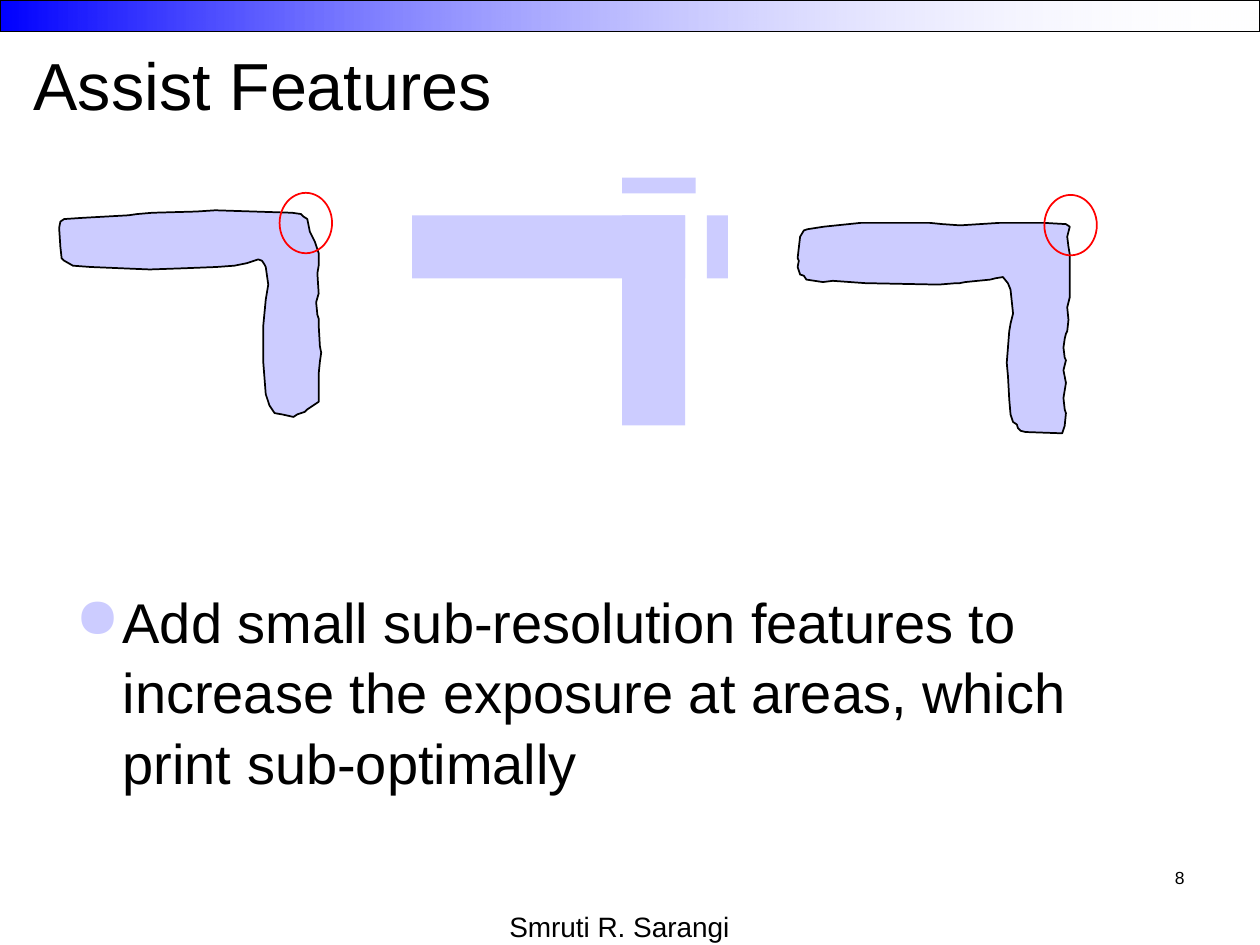
from pptx import Presentation
from pptx.dml.color import RGBColor
from pptx.enum import shapes, text
from pptx.oxml import ns
from pptx.util import Pt
from lxml import etree

BLUE = RGBColor(0x00, 0x00, 0xFF)
WHITE = RGBColor(0xFF, 0xFF, 0xFF)
BLACK = RGBColor(0x00, 0x00, 0x00)
LAVENDER = RGBColor(0xCC, 0xCC, 0xFF)
RED = RGBColor(0xFF, 0x00, 0x00)
FONT = "Arial"
OUTLINE_UNIT = Pt(0.72)

ROUNDED_OUTLINE = [
    (1, 29), (0, 14), (1, 9), (4, 7), (19, 6), (55, 4), (62, 3), (74, 2),
    (109, 1), (124, 0), (185, 2), (192, 3), (194, 5), (197, 7), (199, 17),
    (203, 25), (205, 31), (206, 34), (206, 44), (205, 50), (206, 66),
    (204, 73), (205, 83), (206, 86), (206, 91), (207, 108), (208, 113),
    (207, 120), (206, 130), (206, 152), (197, 158), (195, 160), (189, 162),
    (186, 164), (177, 162), (171, 161), (167, 155), (166, 152), (164, 146),
    (162, 120), (162, 92), (164, 71), (166, 59), (164, 45), (163, 43),
    (161, 40), (158, 39), (149, 42), (144, 43), (139, 44), (125, 45),
    (100, 46), (72, 47), (25, 45), (11, 44), (4, 40), (2, 38),
]
SHARP_OUTLINE = [
    (0, 28), (2, 11), (5, 6), (8, 5), (21, 3), (50, 0), (105, 0), (115, 1),
    (129, 2), (160, 0), (196, 0), (213, 1), (216, 3), (214, 11), (215, 19),
    (216, 25), (216, 59), (214, 67), (215, 77), (214, 86), (213, 88),
    (212, 92), (211, 99), (212, 107), (213, 109), (211, 117), (213, 127),
    (211, 139), (212, 148), (213, 151), (212, 161), (210, 167), (181, 166),
    (177, 165), (175, 163), (174, 160), (171, 158), (169, 152), (168, 140),
    (167, 122), (166, 111), (168, 86), (169, 80), (171, 72), (169, 53),
    (167, 48), (163, 43), (157, 44), (153, 45), (133, 47), (128, 48),
    (124, 48), (112, 49), (62, 48), (56, 48), (28, 46), (20, 47), (7, 45),
    (5, 42), (2, 41), (0, 35), (1, 30),
]


def style_shape(shape, fill, line):
    """Give a shape a plain fill and a one-point line, or neither."""
    shape.shadow.inherit = False
    if fill is None:
        shape.fill.background()
    else:
        shape.fill.solid()
        shape.fill.fore_color.rgb = fill
    if line is None:
        shape.line.fill.background()
    else:
        shape.line.color.rgb = line
        shape.line.width = Pt(1)


def set_font(para, size):
    """Set the black slide font at the given size."""
    para.font.name = FONT
    para.font.size = Pt(size)
    para.font.color.rgb = BLACK


def add_top_bar(page, left, top, width, height):
    """Draw the bar that fades from blue to clear white."""
    bar = page.shapes.add_shape(
        shapes.MSO_SHAPE.RECTANGLE, Pt(left), Pt(top), Pt(width), Pt(height))
    bar.shadow.inherit = False
    bar.fill.gradient()
    bar.fill.gradient_angle = 0
    for stop, position, color in zip(bar.fill.gradient_stops, (0, 1), (BLUE, WHITE)):
        stop.position = position
        stop.color.rgb = color
    clear = bar.element.spPr.findall(".//" + ns.qn("a:srgbClr"))[1]
    etree.SubElement(clear, ns.qn("a:alpha"), val="2000")
    bar.line.color.rgb = BLACK
    bar.line.width = Pt(1)


def place_title(page, left, top, width, height, words):
    """Move and format the title placeholder."""
    title = page.shapes.title
    title.left, title.top = Pt(left), Pt(top)
    title.width, title.height = Pt(width), Pt(height)
    title.text_frame.text = words
    title.text_frame.vertical_anchor = text.MSO_ANCHOR.MIDDLE
    para = title.text_frame.paragraphs[0]
    para.alignment = text.PP_ALIGN.LEFT
    set_font(para, 38)


def add_text(page, left, top, width, height, words, size, align):
    """Add a wrapped text box and return its paragraph."""
    box = page.shapes.add_textbox(Pt(left), Pt(top), Pt(width), Pt(height))
    box.text_frame.word_wrap = True
    para = box.text_frame.paragraphs[0]
    para.text = words
    para.alignment = align
    set_font(para, size)
    return para


def add_bullet(page, left, top, width, height, words):
    """Add a hanging paragraph with a lavender bullet."""
    para = add_text(page, left, top, width, height, words, 32, text.PP_ALIGN.LEFT)
    para.line_spacing = 1.05
    props = para._p.get_or_add_pPr()
    props.set("marL", str(Pt(27)))
    props.set("indent", str(-Pt(27)))
    color = etree.SubElement(props, ns.qn("a:buClr"))
    etree.SubElement(color, ns.qn("a:srgbClr"), val=str(LAVENDER))
    etree.SubElement(props, ns.qn("a:buChar"), char="●")
    for run_props in props.findall(ns.qn("a:defRPr")):
        props.append(run_props)


def add_mask(page, left, top):
    """Draw the L-shaped mask with its two assist features."""
    bars = [(0, 21.6, 156, 36), (120, 21.6, 36, 120),
            (120, 0, 42, 9), (168.5, 21.6, 12, 36)]
    for x, y, width, height in bars:
        bar = page.shapes.add_shape(
            shapes.MSO_SHAPE.RECTANGLE, Pt(left + x), Pt(top + y), Pt(width), Pt(height))
        style_shape(bar, LAVENDER, None)


def add_printed_corner(page, left, top, outline):
    """Draw a printed outline."""
    builder = page.shapes.build_freeform(*outline[0], scale=OUTLINE_UNIT)
    builder.add_line_segments(outline[1:], close=True)
    style_shape(builder.convert_to_shape(Pt(left), Pt(top)), LAVENDER, BLACK)


def add_corner_ring(page, left, top):
    """Draw the red ring around a printed corner."""
    ring = page.shapes.add_shape(
        shapes.MSO_SHAPE.OVAL, Pt(left), Pt(top), Pt(30), Pt(34.5))
    style_shape(ring, None, RED)


def main():
    """Build the slide and save it."""
    deck = Presentation()
    deck.slide_width, deck.slide_height = Pt(720), Pt(540)
    page = deck.slides.add_slide(deck.slide_layouts[5])
    add_top_bar(page, 0, 0, 720, 18)
    place_title(page, 12, 3, 648, 90, "Assist Features")
    add_bullet(page, 36, 330, 648, 140,
               "Add small sub-resolution features to increase the exposure "
               "at areas, which print sub-optimally")
    add_text(page, 240, 516, 228, 24, "Smruti R. Sarangi", 16, text.PP_ALIGN.CENTER)
    add_text(page, 516, 492, 168, 36, "8", 10, text.PP_ALIGN.RIGHT)
    add_mask(page, 235.5, 101.5)
    add_printed_corner(page, 33.8, 120.2, ROUNDED_OUTLINE)
    add_printed_corner(page, 455.8, 127.4, SHARP_OUTLINE)
    add_corner_ring(page, 159.8, 110.2)
    add_corner_ring(page, 596.8, 111.4)
    deck.save("out.pptx")


if __name__ == "__main__":
    main()
